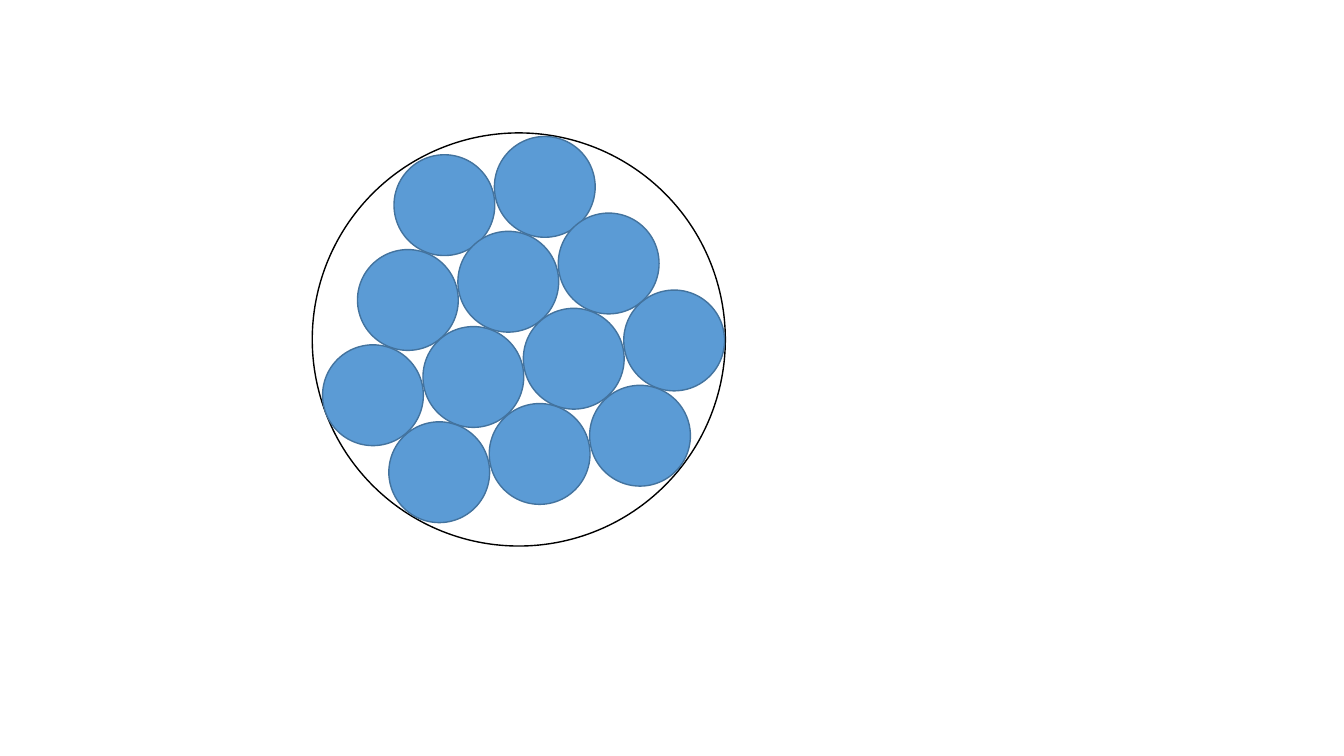
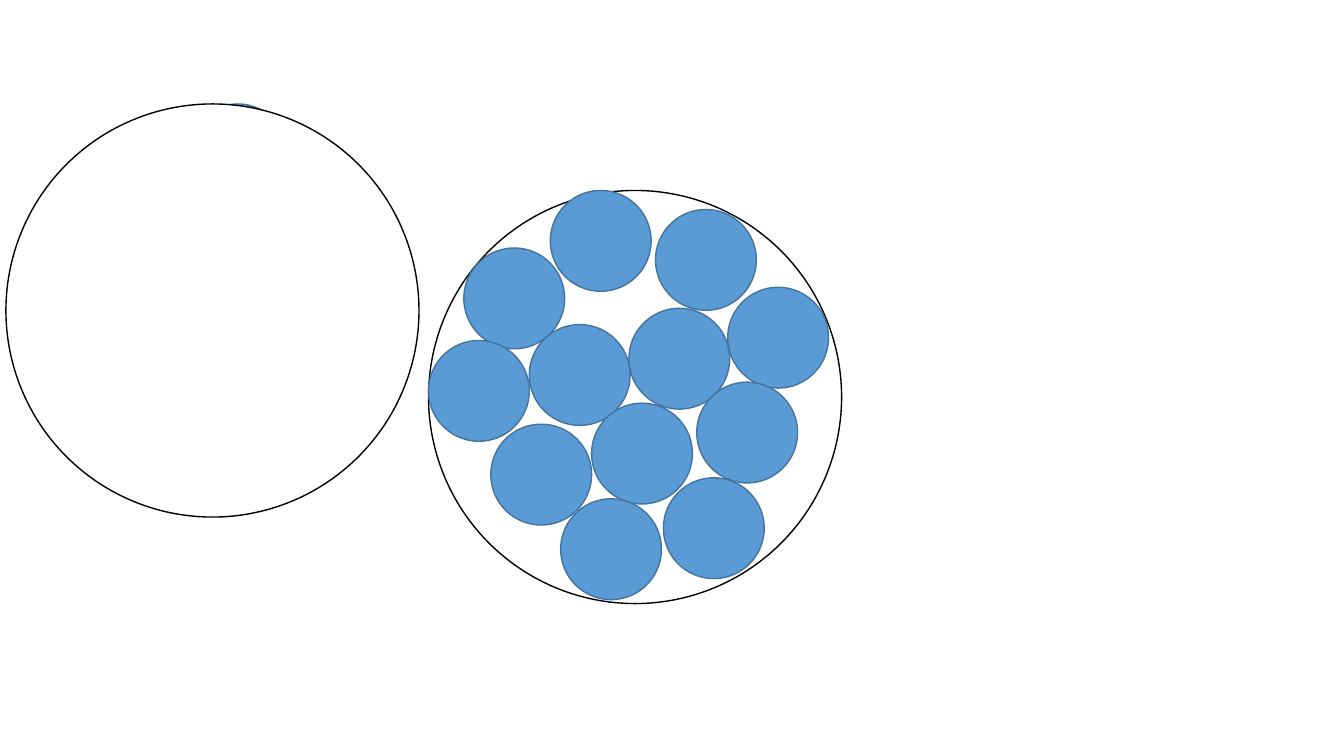
from pptx import Presentation
from pptx.dml.color import RGBColor
from pptx.enum.shapes import MSO_SHAPE
from pptx.util import Cm, Pt

OVAL = MSO_SHAPE.OVAL
COLOURS = {
    "disk": "FFFFFF",
    "disk_line": "000000",
    "ball": "5B9BD5",
    "ball_line": "43739E",
}
BLANK_LAYOUT = 6
DISK_SIZE = 10.41
BALL_SIZE = 2.54

ROW_STEP = (2.53, -0.46)
LATTICE_ROWS = [
    (2.06, 0.55, 2),
    (1.14, 2.94, 3),
    (0.26, 5.34, 4),
    (1.93, 7.28, 3),
]
LOOSE_BALLS = [
    (0.89, 1.45), (3.07, 0), (5.72, 0.48),
    (0, 3.78), (2.54, 3.38), (5.05, 2.97), (7.54, 2.44),
    (1.57, 5.89), (4.11, 5.36), (6.76, 4.83),
    (3.33, 7.77), (5.92, 7.24),
]
COVERED_BALL = (4.57, 0)


def add_circle(slide, left, top, size, style):
    shape = slide.shapes.add_shape(OVAL, Cm(left), Cm(top), Cm(size), Cm(size))
    shape.shadow.inherit = False
    shape.fill.solid()
    shape.fill.fore_color.rgb = RGBColor.from_string(COLOURS[style])
    shape.line.color.rgb = RGBColor.from_string(COLOURS[f"{style}_line"])
    shape.line.width = Pt(1)


def add_disk(slide, left, top):
    add_circle(slide, left, top, DISK_SIZE, "disk")


def add_balls(slide, left, top, offsets):
    for across, down in offsets:
        add_circle(slide, left + across, top + down, BALL_SIZE, "ball")


def lattice_offsets():
    step_across, step_down = ROW_STEP
    return [
        (across + index * step_across, down + index * step_down)
        for across, down, count in LATTICE_ROWS
        for index in range(count)
    ]


def add_packed_disk(slide, left, top, offsets):
    add_disk(slide, left, top)
    add_balls(slide, left, top, offsets)


def add_covering_disk(slide, left, top):
    add_balls(slide, left, top, [COVERED_BALL])
    add_disk(slide, left, top)


def build_lattice_slide(presentation):
    slide = presentation.slides.add_slide(presentation.slide_layouts[BLANK_LAYOUT])
    add_packed_disk(slide, 7.87, 3.35, lattice_offsets())


def build_comparison_slide(presentation):
    slide = presentation.slides.add_slide(presentation.slide_layouts[BLANK_LAYOUT])
    add_covering_disk(slide, 0.15, 2.62)
    add_packed_disk(slide, 10.8, 4.8, LOOSE_BALLS)


def main():
    presentation = Presentation()
    presentation.slide_width = Cm(33.87)
    presentation.slide_height = Cm(19.05)
    build_lattice_slide(presentation)
    build_comparison_slide(presentation)
    presentation.save("out.pptx")


if __name__ == "__main__":
    main()
